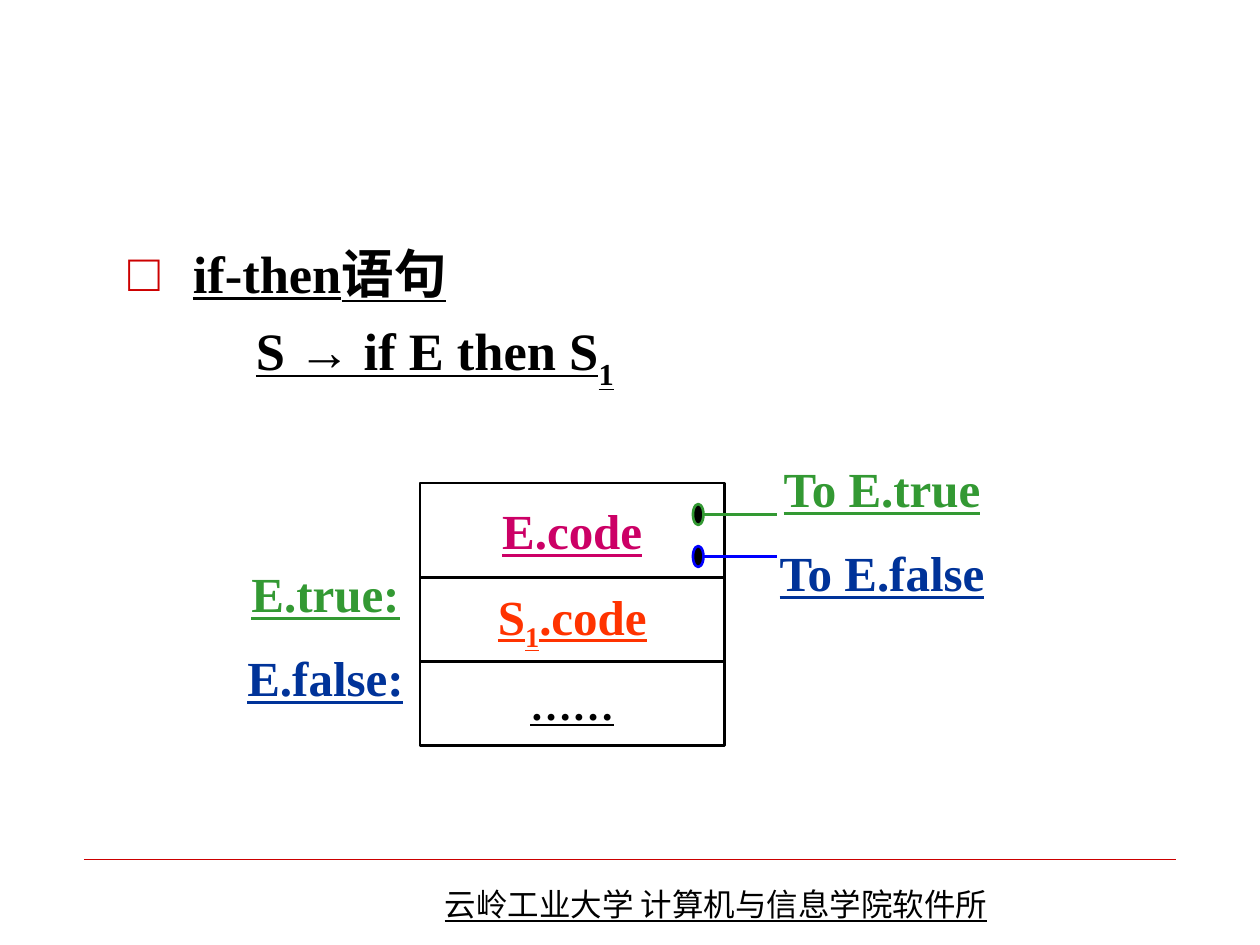
from lxml.etree import SubElement
from pptx import Presentation
from pptx.dml.color import RGBColor
from pptx.enum.shapes import MSO_CONNECTOR as CONNECTOR, MSO_SHAPE as SHAPE
from pptx.enum.text import MSO_ANCHOR as ANCHOR, MSO_AUTO_SIZE as AUTO_SIZE, PP_ALIGN as ALIGN
from pptx.oxml.ns import qn
from pptx.util import Pt

BLACK = RGBColor(0x00, 0x00, 0x00)
RED = RGBColor(0xCC, 0x00, 0x00)
MAGENTA = RGBColor(0xCC, 0x00, 0x66)
ORANGE = RGBColor(0xFF, 0x33, 0x00)
GREEN = RGBColor(0x33, 0x99, 0x33)
NAVY = RGBColor(0x00, 0x33, 0x99)
BLUE = RGBColor(0x00, 0x00, 0xFF)
SERIF = "Times New Roman"
SANS = "Noto Sans CJK SC"
INDENT = 37


def add_runs(paragraph, pieces, color, size, baseline=-25, name=SERIF, bold=True):
    font_format = {"name": name, "size": Pt(size), "bold": bold, "underline": True}
    for index, piece in enumerate(pieces):
        run = paragraph.add_run()
        run.text = piece
        for attribute, value in font_format.items():
            setattr(run.font, attribute, value)
        run.font.color.rgb = color
        if index == 1:
            run._r.get_or_add_rPr().set("baseline", str(baseline * 1000))


def add_line(shapes, left, right, y, color, width):
    line = shapes.add_connector(CONNECTOR.STRAIGHT, Pt(left), Pt(y), Pt(right), Pt(y))
    line.line.color.rgb = color
    line.line.width = Pt(width)
    SubElement(line._element.spPr, qn("a:effectLst"))


presentation = Presentation()
presentation.slide_width = Pt(720)
presentation.slide_height = Pt(540)
slide = presentation.slides.add_slide(presentation.slide_layouts[1])
shapes = slide.shapes
title = shapes.title
title._element.getparent().remove(title._element)

add_line(shapes, 48, 672, 491, RED, 0.25)
footer = shapes.add_textbox(Pt(247), Pt(502), Pt(363), Pt(29))
footer.text_frame.word_wrap = True
add_runs(footer.text_frame.paragraphs[0], ["云岭工业大学 计算机与信息学院软件所"],
         BLACK, 18, name=SANS, bold=False)

body = slide.placeholders[1]
body_format = {"left": Pt(66), "top": Pt(138), "width": Pt(618), "height": Pt(54)}
for attribute, value in body_format.items():
    setattr(body, attribute, value)
body.text_frame.auto_size = AUTO_SIZE.NONE
heading = body.text_frame.paragraphs[0]
production = body.text_frame.add_paragraph()
for paragraph, space_before in ((heading, 0), (production, 7.6)):
    paragraph.line_spacing = 0.9
    paragraph.space_before = Pt(space_before)
    properties = paragraph._p.get_or_add_pPr()
    properties.set("marL", str(Pt(INDENT)))
    properties.set("indent", str(-Pt(INDENT)))

properties = heading._p.get_or_add_pPr()
bullet_color = SubElement(properties, qn("a:buClr"))
SubElement(bullet_color, qn("a:srgbClr"), val=str(RED))
SubElement(properties, qn("a:buChar"), char="□")
properties = production._p.get_or_add_pPr()
SubElement(properties, qn("a:buNone"))
tabs = SubElement(properties, qn("a:tabLst"))
for stop in range(8):
    SubElement(tabs, qn("a:tab"), pos=str(Pt(INDENT + 72 * stop)), algn="l")
add_runs(heading, ["if-then语句"], BLACK, 30)
add_runs(production, ["\t\tS → if E then S", "1"], BLACK, 30, baseline=-30)

code_top = 276
code_blocks = [
    (54, ["E.code"], MAGENTA, 28),
    (48, ["S", "1", ".code"], ORANGE, 28),
    (48, ["……"], BLACK, 24),
]
texts = []
for height, pieces, color, size in code_blocks:
    block = shapes.add_shape(SHAPE.RECTANGLE, Pt(240), Pt(code_top), Pt(174), Pt(height))
    block.shadow.inherit = False
    block.fill.background()
    block.line.color.rgb = BLACK
    block.line.width = Pt(1.5)
    texts.append((block, pieces, color, size))
    code_top += height

labels = [
    (444, 258, "To E.true", GREEN),
    (444, 306, "To E.false", NAVY),
    (126, 318, "E.true:", GREEN),
    (126, 366, "E.false:", NAVY),
]
for left, top, text, color in labels:
    label = shapes.add_textbox(Pt(left), Pt(top), Pt(120), Pt(42))
    label.text_frame.margin_left = label.text_frame.margin_right = Pt(0)
    texts.append((label, [text], color, 28))

for shape, pieces, color, size in texts:
    shape.text_frame.word_wrap = False
    shape.text_frame.vertical_anchor = ANCHOR.MIDDLE
    paragraph = shape.text_frame.paragraphs[0]
    paragraph.alignment = ALIGN.CENTER
    add_runs(paragraph, pieces, color, size)

for y, color in ((294, GREEN), (318, BLUE)):
    exit_group = shapes.add_group_shape()
    add_line(exit_group.shapes, 402, 444, y, color, 1.5)
    dot = exit_group.shapes.add_shape(SHAPE.OVAL, Pt(396), Pt(y - 6), Pt(6), Pt(12))
    dot.shadow.inherit = False
    dot.fill.solid()
    dot.fill.fore_color.rgb = BLACK
    dot.line.color.rgb = color
    dot.line.width = Pt(1.5)

presentation.save("out.pptx")
